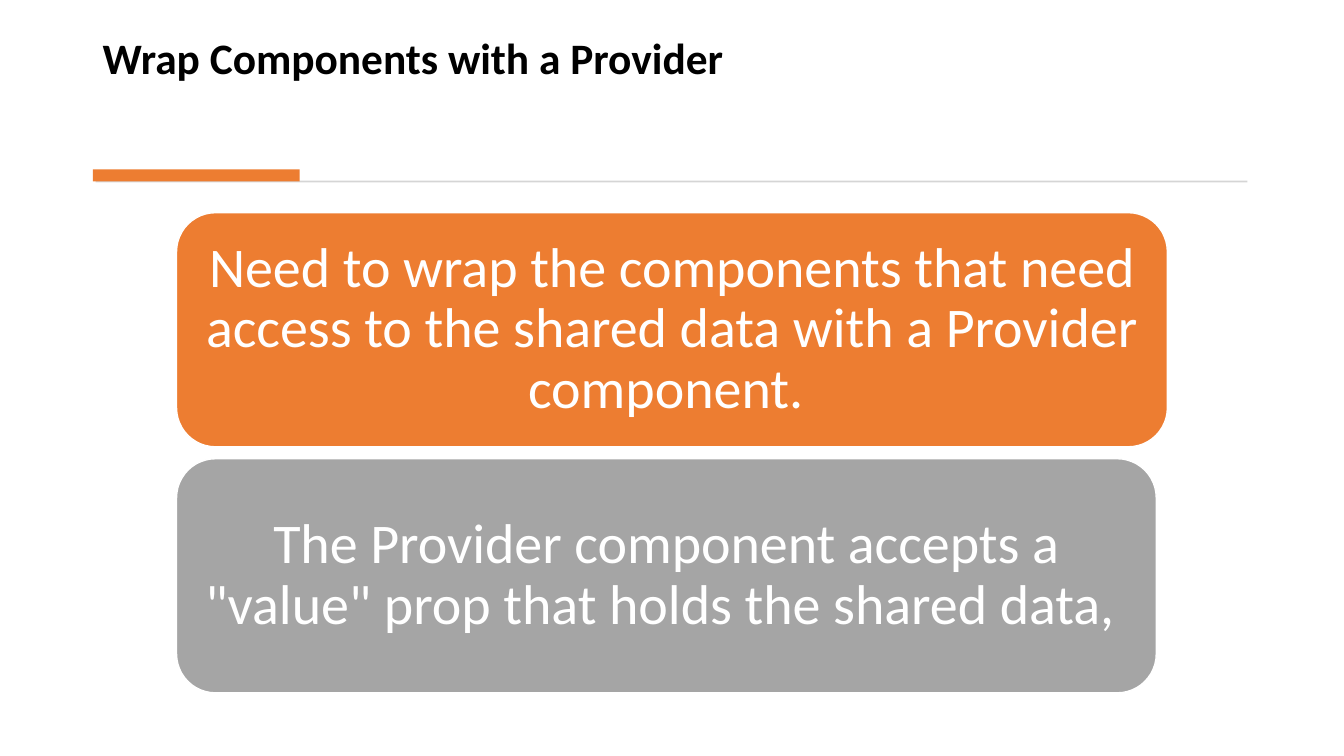
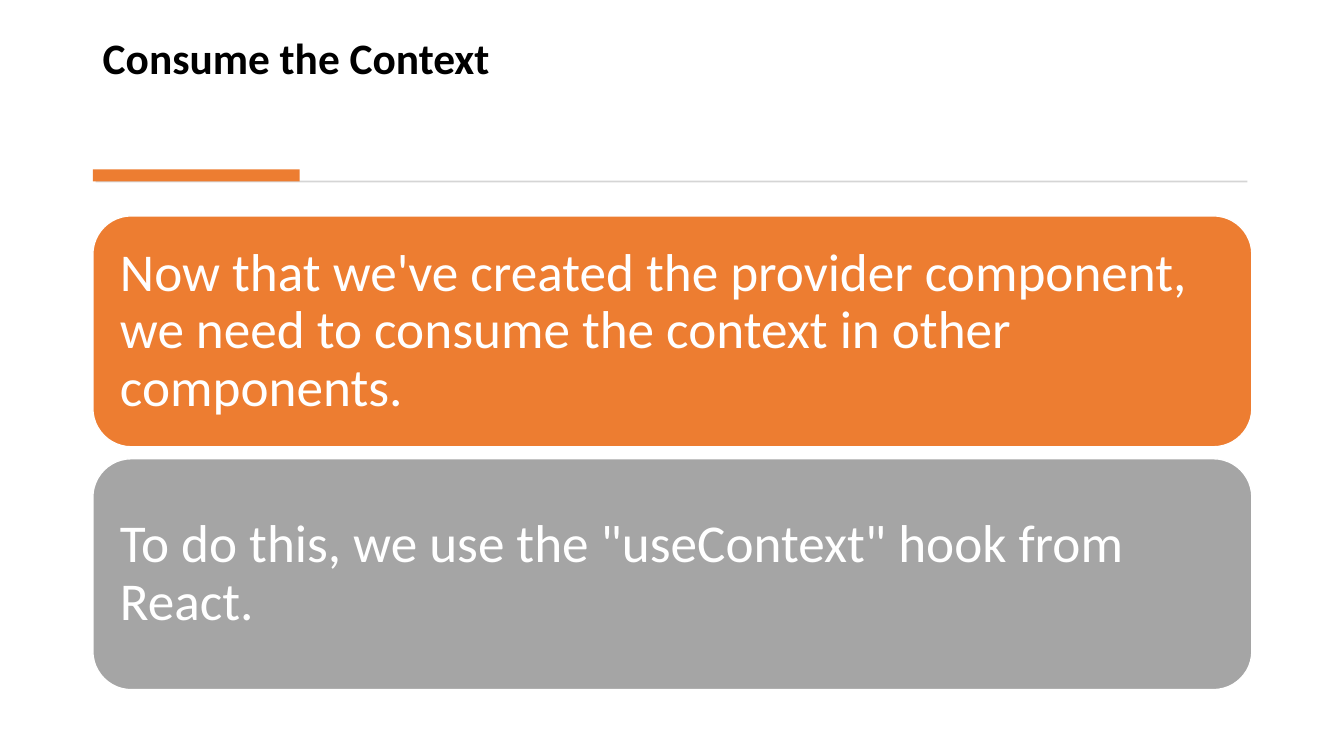
import pptx
import pptx.util
import pptx.dml.color
import pptx.enum.shapes
import pptx.enum.text

Cm = pptx.util.Cm
Pt = pptx.util.Pt
Shapes = pptx.enum.shapes.MSO_SHAPE
Align = pptx.enum.text.PP_ALIGN
Anchor = pptx.enum.text.MSO_ANCHOR


class Pages:
    font = "Calibri"
    colors = {
        "ink": "000000",
        "paper": "FFFFFF",
        "accent": "ED7D31",
        "gray": "A5A5A5",
        "rule": "D5D5D5",
    }
    left = 2.34
    card_gap = 0.3

    def __init__(self):
        self.deck = pptx.Presentation()
        self.deck.slide_width = Cm(33.87)
        self.deck.slide_height = Cm(19.05)
        self.page = None

    def color(self, name):
        return pptx.dml.color.RGBColor.from_string(self.colors[name])

    def add_page(self, title):
        self.page = self.deck.slides.add_slide(self.deck.slide_layouts[6])
        self.title(title)
        self.shape(Shapes.RECTANGLE, 2.41, 4.55, 29.03, 0.05, "rule")
        self.shape(Shapes.RECTANGLE, self.left, 4.27, 5.21, 0.3, "accent")

    def title(self, words):
        box = self.page.shapes.add_textbox(Cm(self.left), Cm(0.71), Cm(29.18), Cm(2.82))
        box.text_frame.margin_top = Cm(0.22)
        self.set_text(box, words, 31, "ink", Align.LEFT, Anchor.TOP, bold=True)

    def shape(self, kind, left, top, width, height, fill):
        shape = self.page.shapes.add_shape(kind, Cm(left), Cm(top), Cm(width), Cm(height))
        shape.shadow.inherit = False
        shape.fill.solid()
        shape.fill.fore_color.rgb = self.color(fill)
        shape.line.fill.background()
        return shape

    def set_text(self, box, words, size, color, align, anchor, bold=False):
        frame = box.text_frame
        frame.word_wrap = True
        frame.vertical_anchor = anchor
        paragraph = frame.paragraphs[0]
        paragraph.text = words
        paragraph.alignment = align
        paragraph.line_spacing = 0.9
        paragraph.font.name = self.font
        paragraph.font.size = Pt(size)
        paragraph.font.bold = bold
        paragraph.font.color.rgb = self.color(color)

    def card(self, left, top, width, height, fill, words, size, align, side, edge):
        card = self.shape(Shapes.ROUNDED_RECTANGLE, left, top, width, height, fill)
        card.line.color.rgb = self.color("paper")
        card.line.width = Pt(1)
        frame = card.text_frame
        frame.margin_left = frame.margin_right = Cm(side)
        frame.margin_top = frame.margin_bottom = Cm(edge)
        self.set_text(card, words, size, "paper", align, Anchor.MIDDLE)

    def card_stack(self, left, top, height, cards, size, align, side, edge):
        for row, (fill, width, words) in enumerate(cards):
            card_top = top + row * (height + self.card_gap)
            self.card(left, card_top, width, height, fill, words, size, align, side, edge)


pages = Pages()

pages.add_page("Wrap Components with a Provider")
pages.card_stack(4.45, 5.36, 5.9, [
    ("accent", 24.97, "Need to wrap the components that need access to the shared data "
                      "with a Provider component. "),
    ("gray", 24.69, "The Provider component accepts a \"value\" prop that holds "
                    "the shared data, "),
], size=40, align=Align.CENTER, side=0.42, edge=0.21)

pages.add_page("Consume the Context")
pages.card_stack(pages.left, 5.44, 5.82, [
    ("accent", 29.21, "Now that we've created the provider component, we need to consume "
                      "the context in other components."),
    ("gray", 29.21, "To do this, we use the \"useContext\" hook from React."),
], size=38, align=Align.LEFT, side=0.4, edge=0.4)

pages.deck.save("out.pptx")
